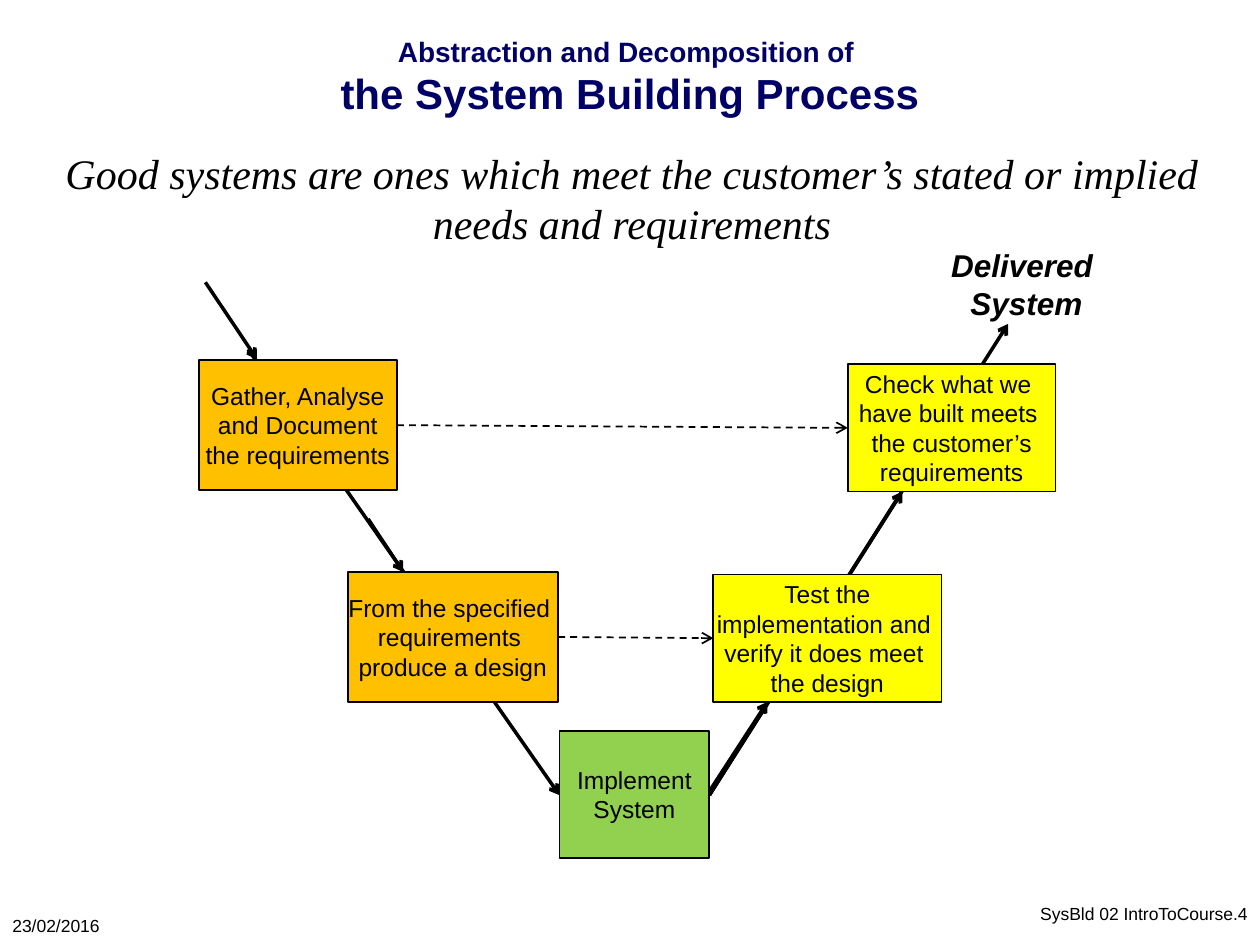
from lxml import etree
from pptx import Presentation
from pptx.dml.color import RGBColor
from pptx.enum import dml, shapes, text
from pptx.oxml import ns
from pptx.util import Cm, Pt

# Content: lengths in cm
TITLE = [("Abstraction and Decomposition of ", 16), ("the System Building Process", 24)]
BLACK, NAVY = "000000", "000066"
ORANGE, YELLOW, GREEN = "FFC000", "FFFF00", "92D050"

BOXES = {
    "gather": ("Gather, Analyse\vand Document\vthe requirements", ORANGE, (4.01, 7.26, 3.99, 2.62)),
    "design": ("From the specified \vrequirements \vproduce a design", ORANGE, (7.01, 11.53, 4.24, 2.62)),
    "implement": ("Implement\vSystem", GREEN, (11.28, 14.73, 3.02, 2.57)),
    "test": ("Test the\vimplementation and \vverify it does meet \vthe design", YELLOW,
             (14.38, 11.58, 4.6, 2.57)),
    "check": ("Check what we \vhave built meets \vthe customer’s\vrequirements", YELLOW,
              (17.09, 7.34, 4.19, 2.57)),
}
# Flow arrows down and up the V; the boxes cover their hidden stretches
FLOW = [
    ((14.3, 16.03), (20.32, 6.53)),
    ((5, 7.04), (11.28, 16.03)),
    ((7.42, 10.46), (8.13, 11.53)),
    ((14.3, 16.03), (18.19, 9.91)),
    ((14.3, 15.95), (15.47, 14.15)),
    ((4.14, 5.69), (5.18, 7.24)),
]
CHECKS = [("gather", "check"), ("design", "test")]

LEFT, CENTER, RIGHT = text.PP_ALIGN.LEFT, text.PP_ALIGN.CENTER, text.PP_ALIGN.RIGHT
TOP, MIDDLE = text.MSO_ANCHOR.TOP, text.MSO_ANCHOR.MIDDLE


def rgb(value):
    return RGBColor.from_string(value)


def style(p, size, align=CENTER, color=BLACK, name="Arial", bold=False, italic=False):
    p.alignment = align
    f = p.font
    f.name, f.size, f.bold, f.italic = name, Pt(size), bold, italic
    f.color.rgb = rgb(color)


def fill_text(sp, words, size, anchor=TOP, wrap=True, **kw):
    tf = sp.text_frame
    tf.word_wrap, tf.vertical_anchor = wrap, anchor
    p = tf.paragraphs[0]
    p.text = words
    style(p, size, **kw)
    return tf


def add_text(s, at, words, size, **kw):
    return fill_text(s.shapes.add_textbox(*map(Cm, at)), words, size, **kw)


def add_box(s, words, color, at):
    sp = s.shapes.add_shape(shapes.MSO_SHAPE.RECTANGLE, *map(Cm, at))
    sp.shadow.inherit = False
    sp.fill.solid()
    sp.fill.fore_color.rgb = rgb(color)
    sp.line.color.rgb = rgb(BLACK)
    sp.line.width = Pt(1)
    fill_text(sp, words, 14, anchor=MIDDLE, wrap=False)


def add_arrow(s, start, end, width, dashed=False):
    c = s.shapes.add_connector(shapes.MSO_CONNECTOR.STRAIGHT, *map(Cm, start + end))
    c.line.color.rgb = rgb(BLACK)
    c.line.width = Pt(width)
    if dashed:
        c.line.dash_style = dml.MSO_LINE.DASH
    etree.SubElement(c.line._get_or_add_ln(), ns.qn("a:tailEnd"), type="arrow")
    etree.SubElement(c._element.spPr, ns.qn("a:effectLst"))


def main():
    prs = Presentation()
    prs.slide_width, prs.slide_height = Cm(25.4), Cm(19.05)
    s = prs.slides.add_slide(prs.slide_layouts[5])

    # Title in two sizes
    title = s.shapes.title
    title.left, title.top, title.width, title.height = map(Cm, (0, 0.43, 25.4, 2.64))
    tf = title.text_frame
    tf.auto_size = text.MSO_AUTO_SIZE.NONE
    tf.vertical_anchor, tf.margin_bottom = MIDDLE, Cm(0.55)
    p = tf.paragraphs[0]
    style(p, 24, color=NAVY, bold=True)
    for i, (words, size) in enumerate(TITLE):
        if i:
            p.add_line_break()
        r = p.add_run()
        r.text, r.font.size = words, Pt(size)

    # Statement, outcome and footers
    add_text(s, (0.08, 2.84, 25.32, 2.26),
             "Good systems are ones which meet the customer’s stated or implied needs and requirements",
             24, name="Times New Roman", italic=True)
    add_text(s, (18.9, 4.83, 3.58, 1.8), "Delivered \vSystem", 18,
             wrap=False, bold=True, italic=True)
    date = add_text(s, (0, 17.78, 5.28, 1.27), "23/02/2016", 10, anchor=MIDDLE, align=LEFT)
    date.margin_top = Cm(0.6)
    add_text(s, (20.12, 17.78, 5.28, 1.27), "SysBld 02 IntroToCourse.4", 10,
             anchor=MIDDLE, align=RIGHT)

    # V diagram: flow behind, boxes over it, dashed checks between the arms
    for start, end in FLOW:
        add_arrow(s, start, end, 2)
    for box in BOXES.values():
        add_box(s, *box)
    for source, target in CHECKS:
        x, y, w, h = BOXES[source][2]
        x2, y2, _, h2 = BOXES[target][2]
        add_arrow(s, (x + w, y + h / 2), (x2, y2 + h2 / 2), 1, dashed=True)

    prs.save("out.pptx")


if __name__ == "__main__":
    main()
